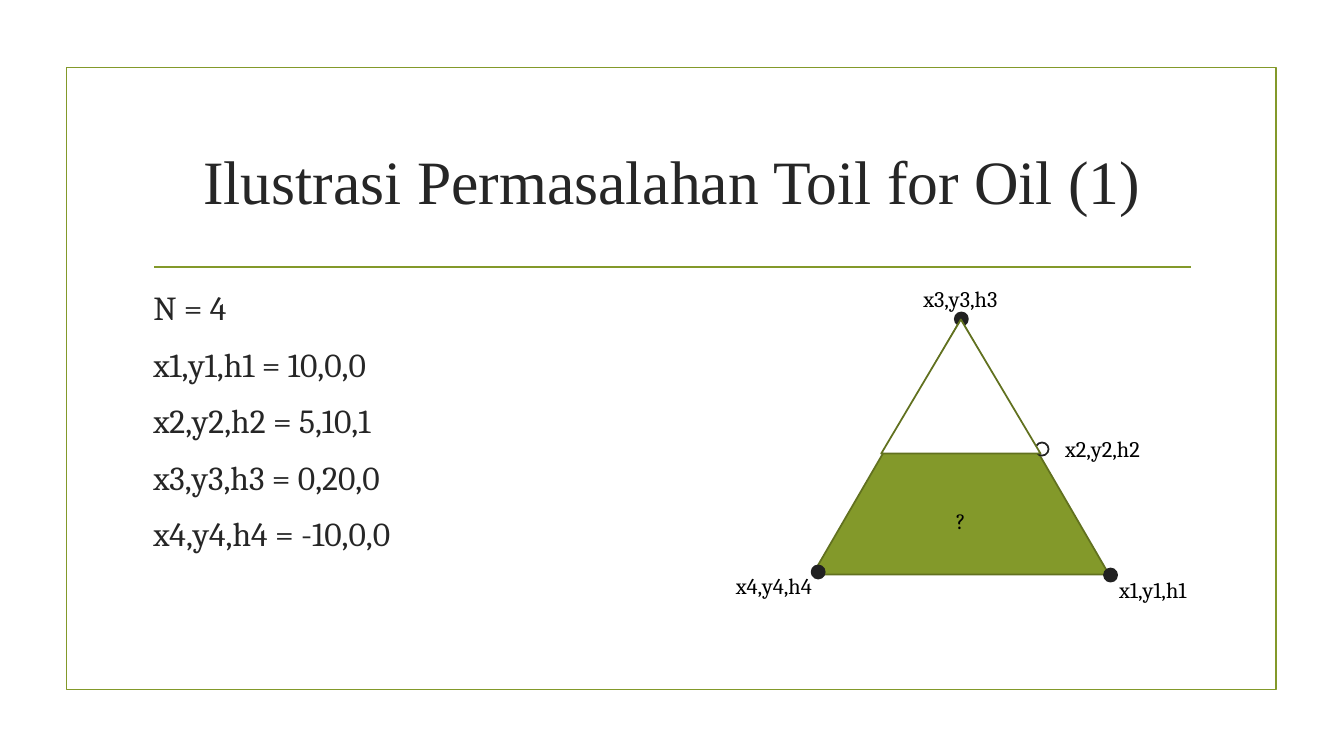
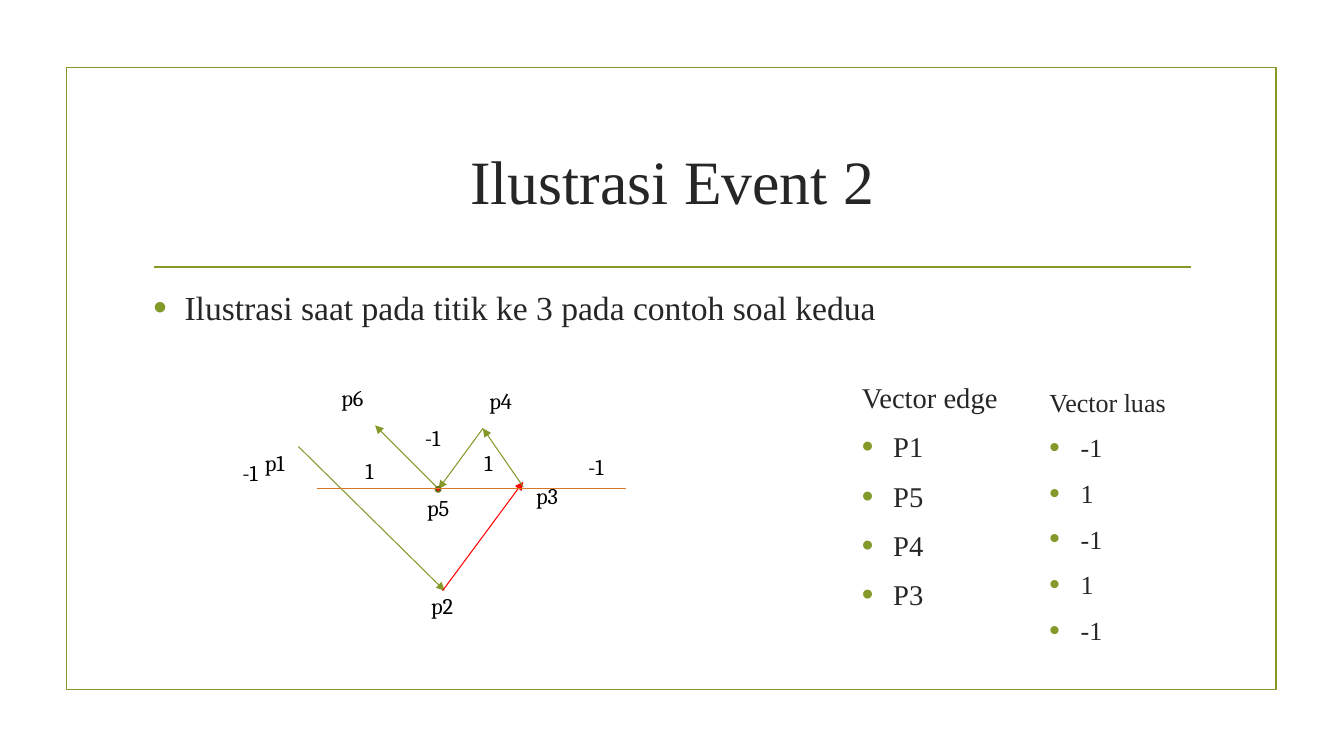
"""Build two slides that illustrate a polygon area problem."""
from lxml import etree
from pptx import Presentation
from pptx import util as u
from pptx.dml.color import RGBColor
from pptx.enum import shapes as sh, text as tx
from pptx.oxml.ns import qn

PX = 9144
GREEN, OLIVE, RED, AMBER = "83992A", "61711F", "FF0000", "D97828"
INK, DOT, BLACK, WHITE = "262626", "212121", "000000", "FFFFFF"
SERIF, ROMAN = "Cambria", "Times New Roman"
OVAL = sh.MSO_SHAPE.OVAL
PEAK = sh.MSO_SHAPE.ISOSCELES_TRIANGLE


def px(*vals):
    return [u.Emu(v * PX) for v in vals]


def tint(code):
    return RGBColor.from_string(code)


def node(parent, tag, **attrs):
    return etree.SubElement(parent, qn(tag), attrs)


class Deck:
    """Holds the style and the current slide."""

    def __init__(self):
        self.prs = Presentation()
        self.prs.slide_width, self.prs.slide_height = px(1333, 750)
        self.slide = None

    def page(self, title):
        self.slide = self.prs.slides.add_slide(self.prs.slide_layouts[1])
        self.shape(sh.MSO_SHAPE.RECTANGLE, 66, 67, 1200, 617, None, GREEN)
        self.line((153, 265), (1181, 265), GREEN, 1.25)
        head = self.slide.shapes.title
        self.place(head, 142, 107, 1050, 143)
        frame = head.text_frame
        frame.auto_size = tx.MSO_AUTO_SIZE.NONE
        frame.vertical_anchor = tx.MSO_ANCHOR.MIDDLE
        para = frame.paragraphs[0]
        para.alignment = tx.PP_ALIGN.CENTER
        self.run(para, title, 44, ROMAN, INK)

    def place(self, item, *box):
        item.left, item.top, item.width, item.height = px(*box)

    def run(self, para, text, size, font, code):
        run = para.add_run()
        run.text = text
        run.font.size = u.Pt(size)
        run.font.name = font
        run.font.color.rgb = tint(code)

    def shape(self, kind, x, y, w, h, fill, edge):
        item = self.slide.shapes.add_shape(kind, *px(x, y, w, h))
        item.shadow.inherit = False
        if fill:
            item.fill.solid()
            item.fill.fore_color.rgb = tint(fill)
        else:
            item.fill.background()
        item.line.color.rgb = tint(edge)
        item.line.width = u.Pt(1.25)

    def line(self, start, end, code, width=0.75, arrow=False):
        item = self.slide.shapes.add_connector(
            sh.MSO_CONNECTOR.STRAIGHT, *px(*start, *end))
        item.line.color.rgb = tint(code)
        item.line.width = u.Pt(width)
        props = item._element.spPr
        if arrow:
            node(props.find(qn("a:ln")), "a:tailEnd", type="triangle")
        node(props, "a:effectLst")

    def label(self, text, x, y, w):
        frame = self.slide.shapes.add_textbox(*px(x, y, w, 37)).text_frame
        frame.word_wrap = False
        frame.auto_size = tx.MSO_AUTO_SIZE.SHAPE_TO_FIT_TEXT
        para = frame.paragraphs[0]
        para.alignment = tx.PP_ALIGN.CENTER
        self.run(para, text, 16, SERIF, BLACK)

    def body(self, box, *args):
        item = self.slide.placeholders[1]
        self.place(item, *box)
        self.fill(item.text_frame, *args)

    def side(self, box, *args):
        item = self.slide.shapes.add_textbox(*px(*box))
        self.fill(item.text_frame, *args)

    def fill(self, frame, plain, points, size, font):
        frame.word_wrap = True
        frame.auto_size = tx.MSO_AUTO_SIZE.NONE
        for i, text in enumerate(plain + points):
            para = frame.add_paragraph() if i else frame.paragraphs[0]
            para.space_before = u.Pt(round(size * 0.23, 1))
            para.space_after = u.Pt(6)
            self.mark(para, i >= len(plain))
            self.run(para, text, size, font, INK)

    def mark(self, para, bullet):
        props = para._p.get_or_add_pPr()
        dent = 31 * PX if bullet else 0
        props.set("marL", str(dent))
        props.set("indent", str(-dent))
        if bullet:
            node(node(props, "a:buClr"), "a:srgbClr", val=GREEN)
            node(props, "a:buSzPct", val="115000")
            node(props, "a:buFont", typeface="Arial")
            node(props, "a:buChar", char="•")
        else:
            node(props, "a:buNone")


def oil(deck):
    deck.page("Ilustrasi Permasalahan Toil for Oil (1)")
    deck.body((142, 280, 520, 363),
              ["N = 4", "x1,y1,h1 = 10,0,0", "x2,y2,h2 = 5,10,1",
               "x3,y3,h3 = 0,20,0", "x4,y4,h4 = -10,0,0"], [], 24, SERIF)
    deck.shape(PEAK, 806, 317, 294, 253, GREEN, OLIVE)
    for x, y, fill in ((947, 310, DOT), (805, 561, DOT),
                       (1095, 564, DOT), (1027, 439, WHITE)):
        deck.shape(OVAL, x, y, 13, 13, fill, DOT)
    deck.shape(PEAK, 874, 317, 158, 133, WHITE, OLIVE)
    for text, x, y in (("x1,y1,h1", 1093, 567), ("x2,y2,h2", 1043, 427),
                       ("x3,y3,h3", 902, 278), ("x4,y4,h4", 717, 563)):
        deck.label(text, x, y, 101)
    deck.label("?", 938, 498, 30)


def event(deck):
    deck.page("Ilustrasi Event 2")
    deck.body((142, 280, 1050, 363), [],
              ["Ilustrasi saat pada titik ke 3 pada contoh soal kedua"],
              24, ROMAN)
    for start, end, code in (((296, 443), (441, 586), GREEN),
                             ((439, 586), (519, 478), RED),
                             ((519, 483), (479, 425), GREEN),
                             ((479, 425), (435, 485), GREEN),
                             ((435, 485), (372, 422), GREEN)):
        deck.line(start, end, code, arrow=True)
    deck.shape(OVAL, 432, 483, 5, 5, RED, OLIVE)
    deck.line((314, 485), (621, 485), AMBER)
    for text, x, y in (("p1", 250, 441), ("p2", 416, 583), ("p3", 520, 473),
                       ("p4", 474, 379), ("p5", 412, 485), ("p6", 327, 376)):
        deck.label(text, x, y, 45)
    for text, x, y in (("-1", 228, 451), ("1", 350, 449), ("-1", 409, 416),
                       ("1", 468, 441), ("-1", 571, 445)):
        deck.label(text, x, y, 40 if text == "-1" else 33)
    deck.side((845, 372, 158, 216), ["Vector edge"],
              ["P1", "P5", "P4", "P3"], 20.4, ROMAN)
    deck.side((1031, 378, 173, 242), ["Vector luas"],
              ["-1", "1", "-1", "1", "-1"], 18.6, ROMAN)


def main():
    deck = Deck()
    oil(deck)
    event(deck)
    deck.prs.save("out.pptx")


if __name__ == "__main__":
    main()
